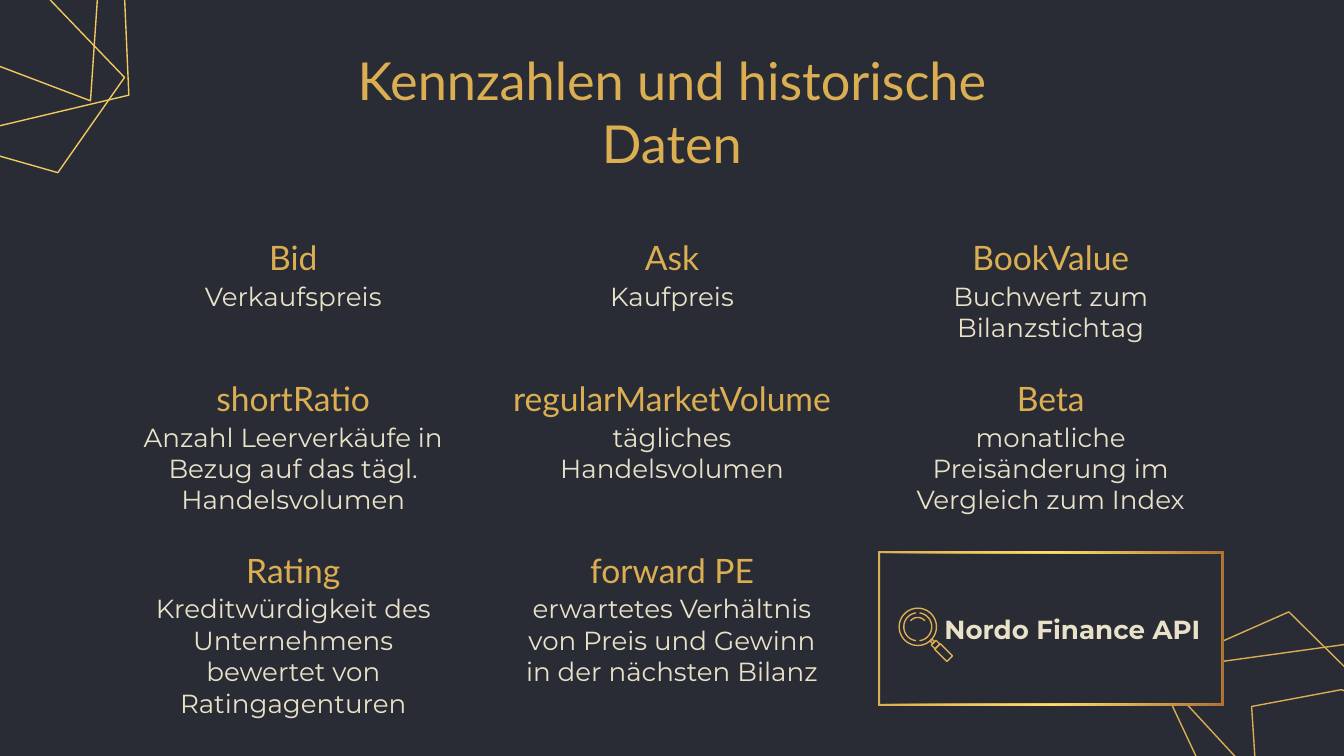
from copy import deepcopy
from dataclasses import dataclass
from math import cos, radians, sin

from pptx import Presentation
from pptx.dml.color import RGBColor as RGB
from pptx.enum.shapes import MSO_SHAPE as Kind
from pptx.enum.text import MSO_ANCHOR as Anchor, PP_ALIGN as Align
from pptx.oxml.ns import qn
from pptx.util import Pt


@dataclass(frozen=True)
class Theme:
    dark: RGB = RGB(0x29, 0x2C, 0x35)
    gold: RGB = RGB(0xDC, 0xAE, 0x52)
    warm: RGB = RGB(0xF2, 0xC9, 0x60)
    light: RGB = RGB(0xFF, 0xDD, 0x6B)
    brown: RGB = RGB(0xAF, 0x71, 0x32)
    cream: RGB = RGB(0xE9, 0xE2, 0xC9)
    head: str = "Lato"
    body: str = "Montserrat"
    big: int = 28
    mid: int = 18
    small: int = 14


theme = Theme()
deck = Presentation()
deck.slide_width, deck.slide_height = Pt(720), Pt(405)
slide = deck.slides.add_slide(deck.slide_layouts[6])
slide.background.fill.solid()
slide.background.fill.fore_color.rgb = theme.dark
shapes = slide.shapes


def write(text, left, top, width, height, size, anchor=Anchor.TOP,
          face=theme.head, color=theme.gold, bold=False):
    frame = shapes.add_textbox(Pt(left), Pt(top), Pt(width), Pt(height)).text_frame
    frame.word_wrap = True
    frame.vertical_anchor = anchor
    frame.margin_left = frame.margin_right = Pt(7.2)
    frame.margin_top = frame.margin_bottom = Pt(7.2)
    para = frame.paragraphs[0]
    para.text = text
    para.alignment = Align.CENTER
    font = para.font
    font.name, font.size, font.bold = face, Pt(size), bold
    font.color.rgb = color


def draw(paths, close=True):
    """Build one freeform from lists of points."""
    pen = None
    for points in paths:
        first, *rest = [(Pt(x), Pt(y)) for x, y in points]
        if pen is None:
            pen = shapes.build_freeform(*first)
        else:
            pen.move_to(*first)
        pen.add_line_segments(rest, close=close)
    shape = pen.convert_to_shape()
    shape.shadow.inherit = False
    shape.fill.background()
    shape.line.color.rgb = theme.gold
    shape.line.width = Pt(0.75)
    return shape


# Line webs in two corners
webs = [
    (theme.warm, [(48.5, 54), (59.5, -108.5), (-141, -81), (-104.5, -4)]),
    (theme.gold, [(811, 461.5), (807, 399), (718.5, 369.5), (670.5, 378.5),
                  (672.5, 409), (724.5, 484.5)]),
    (theme.gold, [(757.5, 458.5), (783.5, 419.5), (690.5, 327.8),
                  (619.2, 359.3), (696.2, 442.6)]),
    (theme.gold, [(758, 458.5), (766, 339), (619.2, 359.3), (645.8, 416)]),
    (theme.warm, [(69, 51), (65.3, -34), (-53, -76), (-118.5, -66),
                  (-116.5, -25), (-49, 79)]),
    (theme.warm, [(31, 92.5), (66.7, 41.5), (-55.5, -86), (-153, -46),
                  (-51.5, 69)]),
]
for color, points in webs:
    draw([points]).line.color.rgb = color

# Title and grid of key figures
write("Kennzahlen und historische Daten", 157.2, 42.5, 405.4, 34, theme.big, Anchor.MIDDLE)

wide = 185.1
lefts = [64.6, 267.5, 470.4]
tops = [127.7, 203.3, 295.3]
terms = [
    [("Bid", "Verkaufspreis"),
     ("Ask", "Kaufpreis"),
     ("BookValue", "Buchwert zum Bilanzstichtag")],
    [("shortRatio", "Anzahl Leerverkäufe in Bezug auf das tägl. Handelsvolumen"),
     ("regularMarketVolume", "tägliches Handelsvolumen"),
     ("Beta", "monatliche Preisänderung im Vergleich zum Index")],
    [("Rating", "Kreditwürdigkeit des Unternehmens bewertet von Ratingagenturen"),
     ("forward PE", "erwartetes Verhältnis von Preis und Gewinn in der nächsten Bilanz")],
]
for top, row in zip(tops, terms):
    for left, (term, note) in zip(lefts, row):
        write(term, left, top, wide, 28, theme.mid, Anchor.BOTTOM)
        write(note, left + 0.5, top + 15.1, wide - 1, 50.4, theme.small,
              face=theme.body, color=theme.cream)

# Source box with gradient frame
left, top, high = 470.5, 295.3, 82.8
box = shapes.add_shape(Kind.RECTANGLE, Pt(left), Pt(top), Pt(wide), Pt(high))
box.shadow.inherit = False
box.fill.solid()
box.fill.fore_color.rgb = theme.dark
box.line.fill.background()

rings = []
for gap in (0, 1):
    x1, x2 = left + gap, left + wide - gap
    y1, y2 = top + gap, top + high - gap
    rings.append([(x1, y1), (x2, y1), (x2, y2), (x1, y2)])
frame = draw(rings)
frame.line.fill.background()
frame.fill.gradient()
frame.fill.gradient_angle = 0
stops = frame._element.spPr.find(".//" + qn("a:gsLst"))
stops.append(deepcopy(stops[0]))
for stop, spot, color in zip(frame.fill.gradient_stops, (0, 0.5, 1),
                             (theme.gold, theme.light, theme.brown)):
    stop.position = spot
    stop.color.rgb = color

# Magnifier: glints, then lens with neck and handle
mid_x, mid_y = 491.7, 335.8
arcs = []
for radius, start, end in [(5, 220, 320), (7.5, 277, 443), (7.5, 97, 263), (10, 0, 360)]:
    turns = [radians(start + (end - start) * step / 36) for step in range(37)]
    arcs.append([(mid_x + radius * cos(turn), mid_y + radius * sin(turn))
                 for turn in turns])
*glints, lens = arcs
for glint in glints:
    draw([glint], close=False)

parts = [lens]
for near, far, half in [(10, 12, 0.7), (12, 14.8, 1.8), (14.8, 24, 2.1)]:
    ends = [(near, -half), (far, -half), (far, half), (near, half)]
    parts.append([(mid_x + (along - side) * 0.71, mid_y + (along + side) * 0.71)
                  for along, side in ends])
draw(parts)

write("Nordo Finance API", 493.9, 321.5, 161.3, 28, theme.small,
      face=theme.body, color=theme.cream, bold=True)

deck.save("out.pptx")
